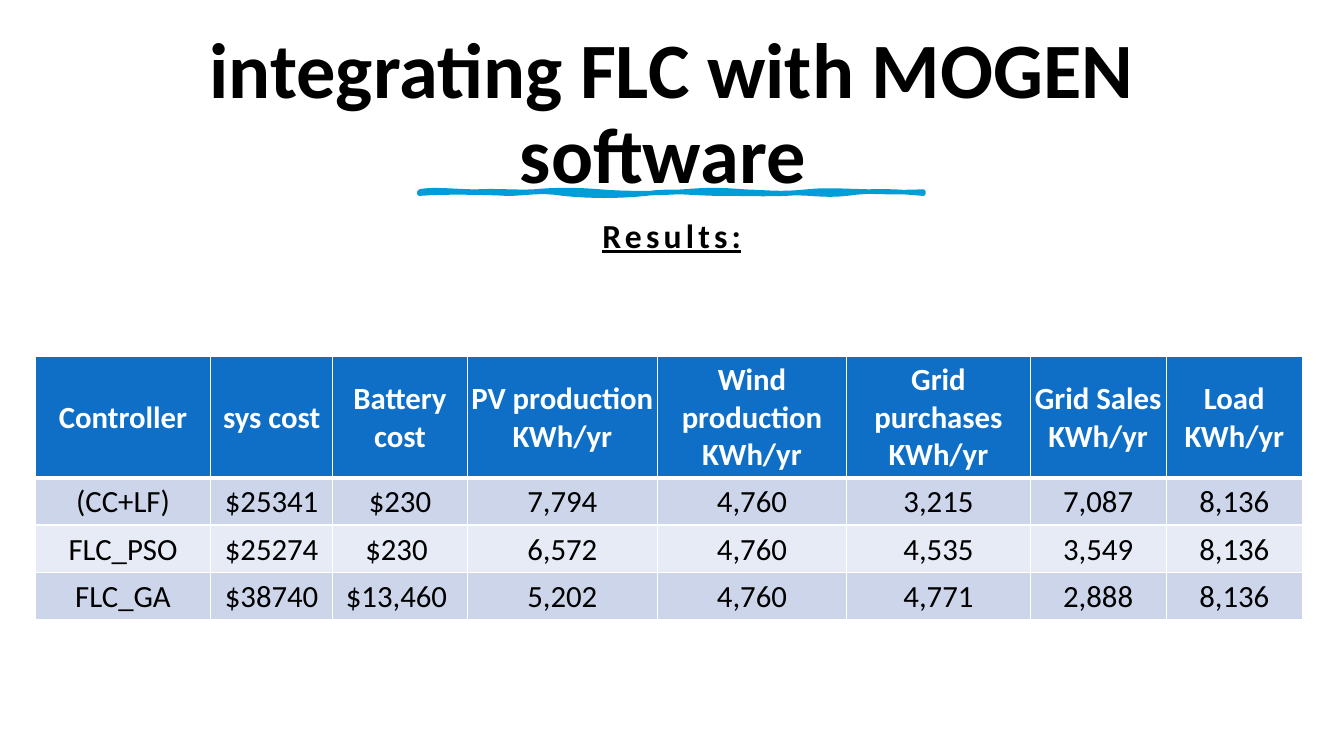
from lxml import etree
from pptx import Presentation
from pptx import util as u
from pptx.dml.color import RGBColor
from pptx.enum import text
from pptx.oxml import ns

BLACK = RGBColor(0x00, 0x00, 0x00)
WHITE = RGBColor(0xFF, 0xFF, 0xFF)
HEADER_BLUE = RGBColor(0x0F, 0x6F, 0xC6)
STROKE_BLUE = RGBColor(0x00, 0x9D, 0xD9)
BANDS = (RGBColor(0xCC, 0xD5, 0xEA), RGBColor(0xE7, 0xEB, 0xF5))

# Brush stroke in centimetres: a start, then two controls and an end per curve
STROKE_START = (10.57, 4.83)
STROKE_CURVES = [
    ((10.87, 4.75), (11.53, 4.83), (12.01, 4.83)),
    ((12.5, 4.8), (12.93, 4.85), (13.44, 4.83)),
    ((13.94, 4.78), (14.58, 4.78), (15.14, 4.83)),
    ((15.67, 4.88), (16.59, 4.88), (17.2, 4.83)),
    ((17.83, 4.78), (18.14, 4.78), (18.77, 4.83)),
    ((19.38, 4.85), (19.66, 4.9), (20.32, 4.83)),
    ((20.98, 4.75), (22.02, 4.88), (23.27, 4.83)),
    ((23.27, 4.85), (23.27, 4.85), (23.27, 4.88)),
    ((22.73, 4.83), (21.97, 4.78), (21.34, 4.88)),
    ((20.7, 4.95), (20.35, 4.83), (19.79, 4.88)),
    ((19.2, 4.9), (18.97, 4.88), (18.21, 4.88)),
    ((17.45, 4.88), (16.94, 4.78), (16.28, 4.88)),
    ((15.6, 4.95), (14.86, 4.95), (14.2, 4.88)),
    ((13.56, 4.78), (13.28, 4.88), (12.78, 4.88)),
    ((12.27, 4.85), (11.13, 4.83), (10.57, 4.88)),
]

COLUMN_WIDTHS = [4.42, 3.07, 3.4, 4.78, 4.78, 4.62, 3.43, 3.43]
ROW_HEIGHTS = [3.07, 1.19, 1.19, 1.19]
RESULTS = [
    ["Controller", "sys cost", "Battery cost", "PV production KWh/yr",
     "Wind production KWh/yr", "Grid purchases KWh/yr", "Grid Sales KWh/yr",
     "Load KWh/yr"],
    ["(CC+LF)", "$25341", "$230", "7,794", "4,760", "3,215", "7,087", "8,136"],
    ["FLC_PSO", "$25274", "$230 ", "6,572", "4,760", "4,535", "3,549", "8,136"],
    ["FLC_GA", "$38740", "$13,460 ", "5,202", "4,760", "4,771", "2,888", "8,136"],
]


class PageBuilder:
    font = "Calibri"

    def __init__(self, page):
        self.page = page

    def add_span(self, para, words, size, color, bold):
        para.alignment = text.PP_ALIGN.CENTER
        span = para.add_run()
        span.text = words
        span.font.name = self.font
        span.font.size = u.Pt(size)
        span.font.bold = bold
        span.font.color.rgb = color
        return span

    def placeholder(self, box, area, words, size):
        box.left, box.top, box.width, box.height = map(u.Cm, area)
        frame = box.text_frame
        frame.word_wrap = True
        frame.auto_size = text.MSO_AUTO_SIZE.NONE
        frame.vertical_anchor = text.MSO_ANCHOR.MIDDLE
        para = frame.paragraphs[0]
        para.line_spacing = 0.9
        return para, self.add_span(para, words, size, BLACK, True)

    def title(self, area, words, size):
        self.placeholder(self.page.shapes.title, area, words, size)

    def subtitle(self, area, words, size):
        para, span = self.placeholder(self.page.placeholders[1], area, words, size)
        para.space_before = u.Pt(10)
        span.font.underline = True
        span.font._element.set("spc", "300")
        settings = para._p.get_or_add_pPr()
        settings.set("marL", "0")
        settings.set("indent", "0")
        etree.SubElement(settings, ns.qn("a:buNone"))

    def brush_stroke(self, start, curves, color, width, steps=8):
        points = []
        first = start
        for second, third, last in curves:
            for step in range(1, steps + 1):
                t = step / steps
                weights = ((1 - t) ** 3, 3 * t * (1 - t) ** 2, 3 * t * t * (1 - t), t ** 3)
                knots = (first, second, third, last)
                points.append(tuple(
                    u.Cm(sum(w * knot[axis] for w, knot in zip(weights, knots)))
                    for axis in (0, 1)))
            first = last
        builder = self.page.shapes.build_freeform(u.Cm(start[0]), u.Cm(start[1]))
        builder.add_line_segments(points, close=True)
        stroke = builder.convert_to_shape()
        stroke.shadow.inherit = False
        stroke.fill.solid()
        stroke.fill.fore_color.rgb = color
        stroke.line.color.rgb = color
        stroke.line.width = u.Pt(width)

    def borders(self, cell, widths):
        settings = cell._tc.get_or_add_tcPr()
        for side, width in widths.items():
            line = etree.SubElement(settings, ns.qn("a:ln" + side), w=str(u.Pt(width)))
            fill = etree.SubElement(line, ns.qn("a:solidFill"))
            etree.SubElement(fill, ns.qn("a:srgbClr"), val=str(WHITE))

    def table(self, left, top, widths, heights, rows, size):
        table = self.page.shapes.add_table(
            len(rows), len(widths), u.Cm(left), u.Cm(top),
            u.Cm(sum(widths)), u.Cm(sum(heights))).table
        for column, width in zip(table.columns, widths):
            column.width = u.Cm(width)
        for index, (row, height) in enumerate(zip(rows, heights)):
            table.rows[index].height = u.Cm(height)
            header = index == 0
            for position, words in enumerate(row):
                cell = table.cell(index, position)
                cell.vertical_anchor = text.MSO_ANCHOR.MIDDLE
                cell.margin_left = cell.margin_right = cell.margin_top = u.Cm(0.05)
                cell.margin_bottom = 0
                self.borders(cell, {"L": 1, "R": 1, "T": 3 if index == 1 else 1,
                                    "B": 3 if header else 1})
                cell.fill.solid()
                cell.fill.fore_color.rgb = HEADER_BLUE if header else BANDS[(index - 1) % 2]
                self.add_span(cell.text_frame.paragraphs[0], words, size,
                              WHITE if header else BLACK, header)


def main():
    deck = Presentation()
    deck.slide_width, deck.slide_height = u.Cm(33.87), u.Cm(19.05)
    builder = PageBuilder(deck.slides.add_slide(deck.slide_layouts[1]))

    # Heading
    builder.title((1.78, 1.17, 30.3, 3.48), "integrating FLC with MOGEN software ", 56)
    builder.subtitle((1.78, 5.03, 30.3, 1.91), "Results:", 24)
    builder.brush_stroke(STROKE_START, STROKE_CURVES, STROKE_BLUE, 3.25)

    # Results table
    builder.table(0.89, 8.97, COLUMN_WIDTHS, ROW_HEIGHTS, RESULTS, 22)

    deck.save("out.pptx")


if __name__ == "__main__":
    main()
